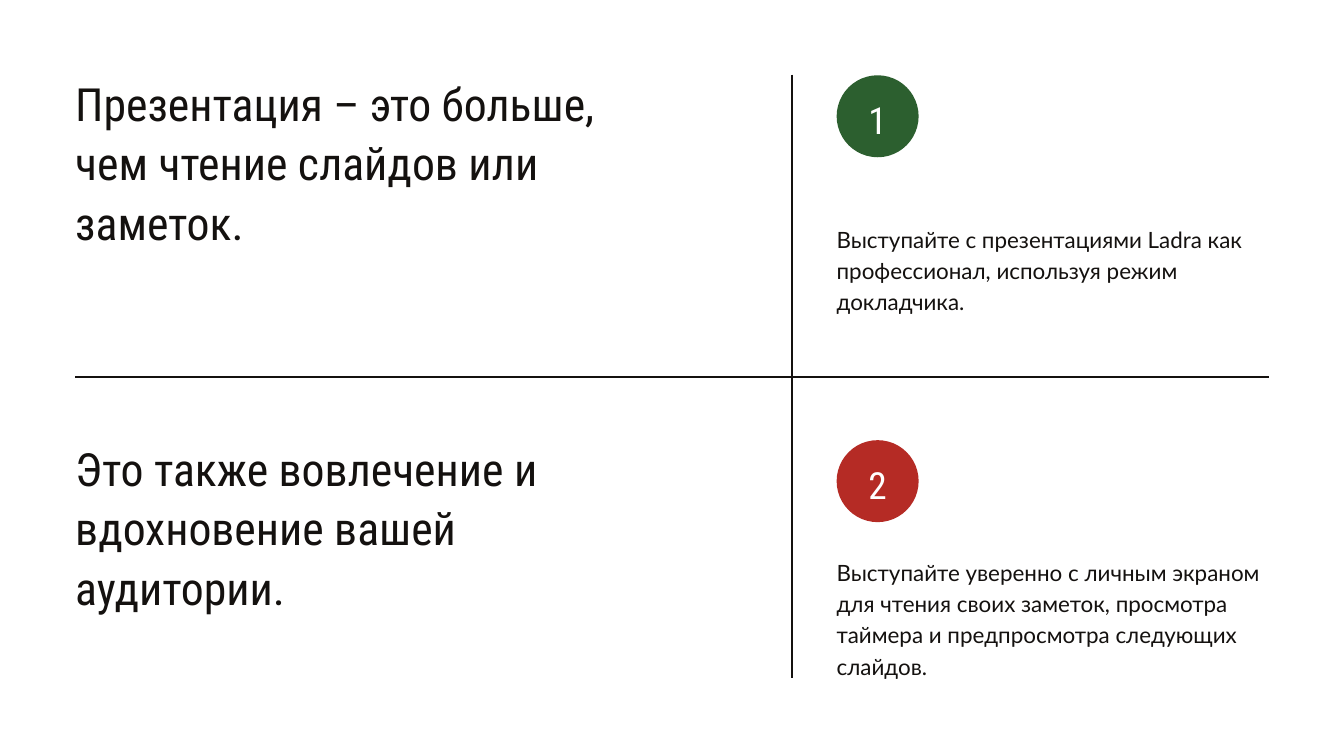
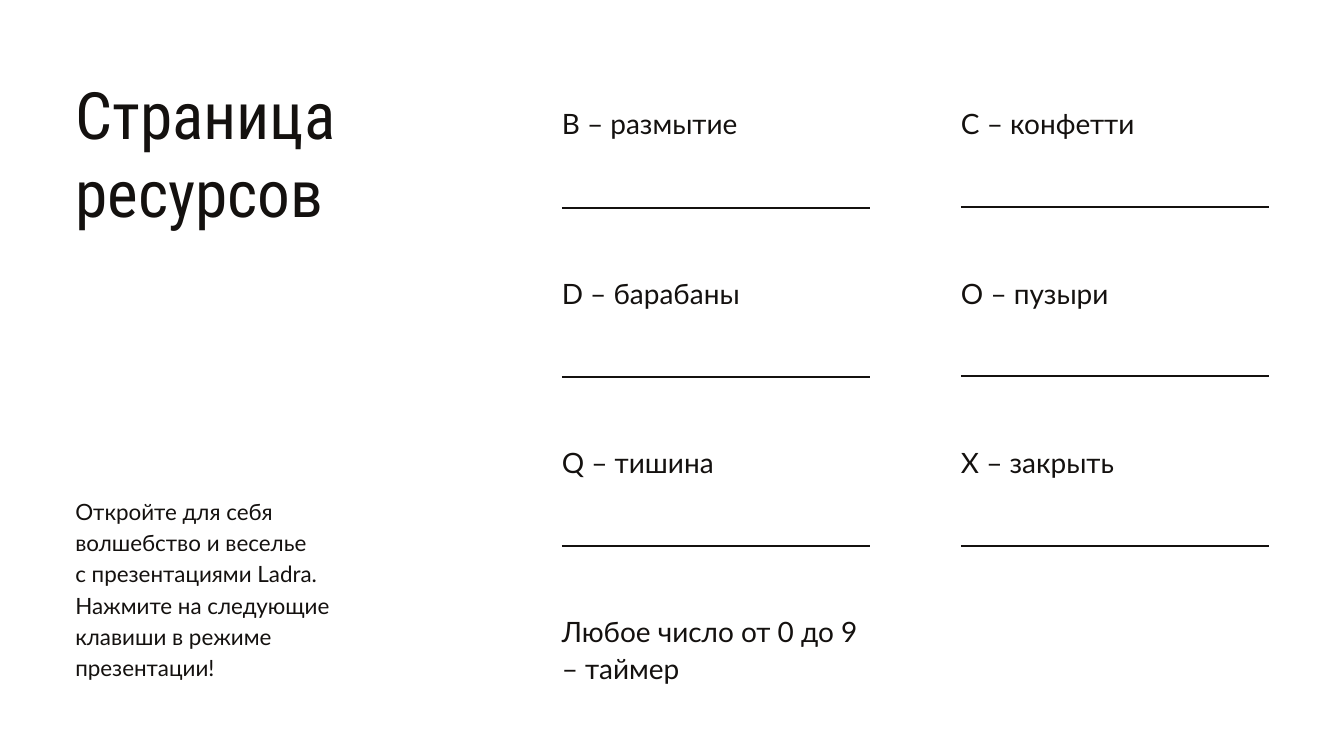
from lxml import etree
from pptx import Presentation
from pptx.dml.color import RGBColor
from pptx.enum.shapes import MSO_CONNECTOR, MSO_SHAPE
from pptx.enum.text import PP_ALIGN
from pptx.oxml.ns import qn
from pptx.util import Inches, Pt

STRAIGHT = MSO_CONNECTOR.STRAIGHT
OVAL = MSO_SHAPE.OVAL
LEFT = PP_ALIGN.LEFT
CENTER = PP_ALIGN.CENTER

INK = "14110F"
WHITE = "FFFFFF"
GREEN = "2C5F2F"
RED = "B52B25"

HEADING_FONT = "Roboto Condensed"
BODY_FONT = "Lato"
STYLES = {
    "title": (HEADING_FONT, 70, 84),
    "statement": (HEADING_FONT, 49, 63.7),
    "number": (HEADING_FONT, 40, 48),
    "key": (BODY_FONT, 30, 39),
    "body": (BODY_FONT, 24, 33.6),
}

PAGE_WIDTH, PAGE_HEIGHT = 20, 11.25
MARGIN = 1.12
CONTENT_WIDTH = PAGE_WIDTH - 2 * MARGIN
CONTENT_HEIGHT = PAGE_HEIGHT - 2 * MARGIN


def color(hex_code):
    return RGBColor.from_string(hex_code)


def add_page(deck):
    page = deck.slides.add_slide(deck.slide_layouts[6])
    page.background.fill.solid()
    page.background.fill.fore_color.rgb = color(WHITE)
    return page


def add_text(page, box, paragraphs, style, ink=INK, align=LEFT):
    font_name, size, line_height = STYLES[style]
    frame = page.shapes.add_textbox(*map(Inches, box)).text_frame
    frame.word_wrap = True
    frame.margin_left = frame.margin_right = 0
    frame.margin_top = frame.margin_bottom = 0
    for index, text in enumerate(paragraphs):
        para = frame.add_paragraph() if index else frame.paragraphs[0]
        para.alignment = align
        para.line_spacing = Pt(line_height)
        span = para.add_run()
        span.text = text
        span.font.name = font_name
        span.font.size = Pt(size)
        span.font.color.rgb = color(ink)


def add_rule(page, left, top, right, bottom):
    rule = page.shapes.add_connector(STRAIGHT, *map(Inches, (left, top, right, bottom)))
    rule.line.color.rgb = color(INK)
    rule.line.width = Pt(2.25)
    etree.SubElement(rule._element.spPr, qn("a:effectLst"))


def add_badge(page, left, top, number, fill):
    diameter, label_width = 1.22, 0.89
    circle = page.shapes.add_shape(OVAL, *map(Inches, (left, top, diameter, diameter)))
    circle.shadow.inherit = False
    circle.fill.solid()
    circle.fill.fore_color.rgb = color(fill)
    circle.line.fill.background()
    label_left = left + (diameter - label_width) / 2
    add_text(page, (label_left, top + 0.33, label_width, 0.67), [number], "number", WHITE, CENTER)


def add_point(page, box, number, fill, statement, advice, advice_lines):
    left, top, width, height = box
    advice_left = left + 11.33
    advice_height = advice_lines * 0.465
    advice_top = top + height - advice_height
    add_text(page, (left, top, 7.87, 2.65), [statement], "statement")
    add_badge(page, advice_left, top + 0.06, number, fill)
    add_text(page, (advice_left, advice_top, left + width - advice_left, advice_height), [advice], "body")


def build_points(deck):
    page = add_page(deck)
    divider = 11.78
    middle = PAGE_HEIGHT / 2 - 0.01
    add_rule(page, divider, 1.11, divider, 10.09)
    add_rule(page, MARGIN, middle, MARGIN + CONTENT_WIDTH, middle)
    add_point(
        page, (MARGIN, 1.06, CONTENT_WIDTH, 3.63), "1", GREEN,
        "Презентация – это больше, чем чтение слайдов или заметок.",
        "Выступайте с презентациями Ladra как профессионал, используя режим докладчика.", 3,
    )
    add_point(
        page, (MARGIN, 6.49, CONTENT_WIDTH, 3.62), "2", RED,
        "Это также вовлечение и вдохновение вашей аудитории.",
        "Выступайте уверенно с личным экраном для чтения своих заметок, "
        "просмотра таймера и предпросмотра следующих слайдов.", 4,
    )


def add_intro(page, box):
    left, top, width, height = box
    intro_height = 2.79
    add_text(page, (left, top, width, 2.35), ["Страница ресурсов"], "title")
    add_text(
        page, (left, top + height - intro_height, 4.61, intro_height),
        [
            "Откройте для себя волшебство и веселье",
            "с презентациями Ladra. Нажмите на следующие клавиши в режиме презентации!",
        ],
        "body",
    )


def add_key_grid(page, box):
    left, top, width, height = box
    columns = [
        ["B – размытие", "D – барабаны", "Q – тишина"],
        ["C – конфетти", "O – пузыри", "X – закрыть"],
    ]
    column_width, row_pitch, rule_offset = 4.58, 2.52, 1.54
    column_pitch = width - column_width
    for column, keys in enumerate(columns):
        key_left = left + column * column_pitch
        for row, key in enumerate(keys):
            key_top = top + row * row_pitch
            rule_top = key_top + rule_offset - column * 0.01
            add_text(page, (key_left, key_top, column_width, 0.54), [key], "key")
            add_rule(page, key_left, rule_top, key_left + column_width, rule_top)
    timer_height = 1.08
    add_text(
        page, (left, top + height - timer_height, 7.6, timer_height),
        ["Любое число от 0 до 9", "– таймер"], "key",
    )


def build_resources(deck):
    page = add_page(deck)
    add_intro(page, (MARGIN, 1.1, 4.75, CONTENT_HEIGHT + 0.02))
    add_key_grid(page, (8.36, 1.55, 10.52, 8.64))


def main():
    deck = Presentation()
    deck.slide_width = Inches(PAGE_WIDTH)
    deck.slide_height = Inches(PAGE_HEIGHT)
    build_points(deck)
    build_resources(deck)
    deck.save("out.pptx")


if __name__ == "__main__":
    main()
